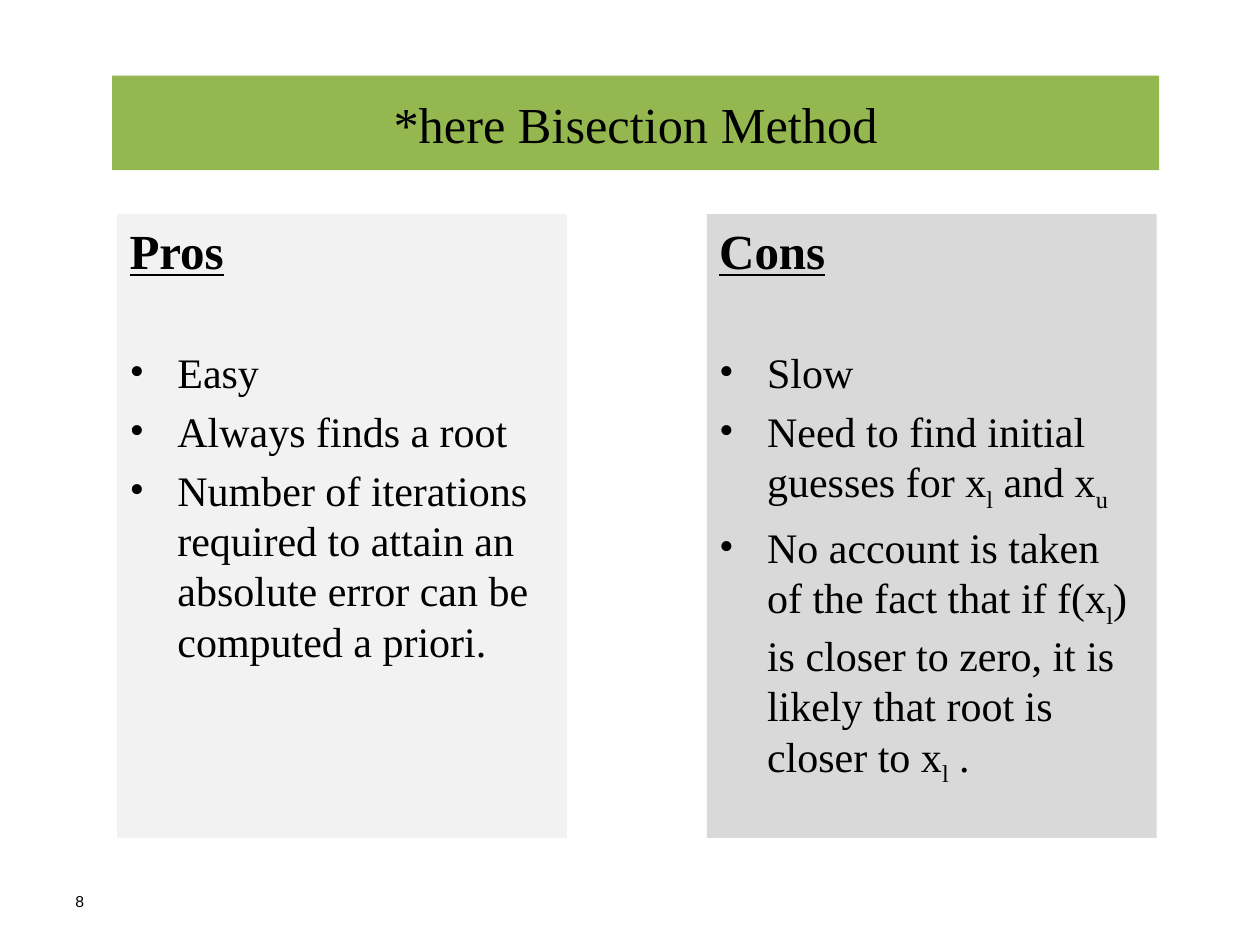
from pptx import Presentation
from pptx.dml.color import RGBColor
from pptx.enum.shapes import MSO_SHAPE
from pptx.enum.text import MSO_ANCHOR, PP_ALIGN
from pptx.oxml import parse_xml
from pptx.oxml.ns import nsdecls
from pptx.util import Inches, Pt

HUES = {"ink": "000000", "green": "95B74F", "pale": "F2F2F2", "grey": "D9D9D9"}
SERIF, SANS = "Times New Roman", "Arial"
WIDE, HIGH = 10, 7.5


class Deck:
    def __init__(self):
        self.show = Presentation()
        self.show.slide_width = Inches(WIDE)
        self.show.slide_height = Inches(HIGH)
        self.slide = self.show.slides.add_slide(self.show.slide_layouts[6])

    def place(self, left, top, width, height):
        return (Inches(left * WIDE), Inches(top * HIGH),
                Inches(width * WIDE), Inches(height * HIGH))

    def block(self, area, hue):
        shape = self.slide.shapes.add_shape(MSO_SHAPE.RECTANGLE, *self.place(*area))
        shape.shadow.inherit = False
        shape.fill.solid()
        shape.fill.fore_color.rgb = RGBColor.from_string(HUES[hue])
        shape.line.fill.background()
        frame = shape.text_frame
        frame.word_wrap = True
        return frame

    def run(self, para, text, size, font=SERIF, bold=False, base=0):
        run = para.add_run()
        run.text = text
        run.font.size = Pt(size)
        run.font.name = font
        run.font.bold = run.font.underline = bold
        run.font.color.rgb = RGBColor.from_string(HUES["ink"])
        if base:
            run.font._element.set("baseline", str(base))

    def title(self, area, text):
        frame = self.block(area, "green")
        frame.vertical_anchor = MSO_ANCHOR.MIDDLE
        para = frame.paragraphs[0]
        para.alignment = PP_ALIGN.CENTER
        self.run(para, text, 28.8)

    def bullet(self, para):
        props = para._p.get_or_add_pPr()
        props.set("marL", str(Inches(0.38)))
        props.set("indent", str(-Inches(0.38)))
        props.append(parse_xml(f'<a:buFont {nsdecls("a")} typeface="{SERIF}"/>'))
        props.append(parse_xml(f'<a:buChar {nsdecls("a")} char="•"/>'))

    def panel(self, area, hue, head, items):
        frame = self.block(area, hue)
        frame.vertical_anchor = MSO_ANCHOR.TOP
        para = frame.paragraphs[0]
        para.alignment = PP_ALIGN.LEFT
        para.space_before = Pt(5.6)
        self.run(para, head, 28, bold=True)
        for row, parts in enumerate(items):
            para = frame.add_paragraph()
            para.alignment = PP_ALIGN.LEFT
            para.space_before = Pt(4.8 if row else 38.5)
            self.bullet(para)
            for spot, text in enumerate(parts):
                self.run(para, text, 24, base=-25000 if spot % 2 else 0)

    def number(self, area, text):
        frame = self.slide.shapes.add_textbox(*self.place(*area)).text_frame
        frame.word_wrap = True
        frame.vertical_anchor = MSO_ANCHOR.MIDDLE
        self.run(frame.paragraphs[0], text, 9, SANS)

    def save(self):
        self.show.save("out.pptx")


PROS = [
    ["Easy"],
    ["Always finds a root"],
    ["Number of iterations required to attain an absolute error can be computed a priori."],
]
CONS = [
    ["Slow"],
    ["Need to find initial guesses for x", "l", " and x", "u"],
    ["No account is taken of the fact that if f(x", "l",
     ") is closer to zero, it is likely that root is closer to x", "l", " ."],
]


def main():
    deck = Deck()
    deck.number((0.05, 6.95 / HIGH, 0.233, 0.4 / HIGH), "8")
    deck.title((0.089, 0.08, 0.831, 0.1), "*here Bisection Method")
    sides = [("pale", "Pros", PROS), ("grey", "Cons", CONS)]
    for col, (hue, head, items) in enumerate(sides):
        deck.panel((0.093 + col * 0.468, 1.7 / HIGH, 0.357, 0.66), hue, head, items)
    deck.save()


if __name__ == "__main__":
    main()
